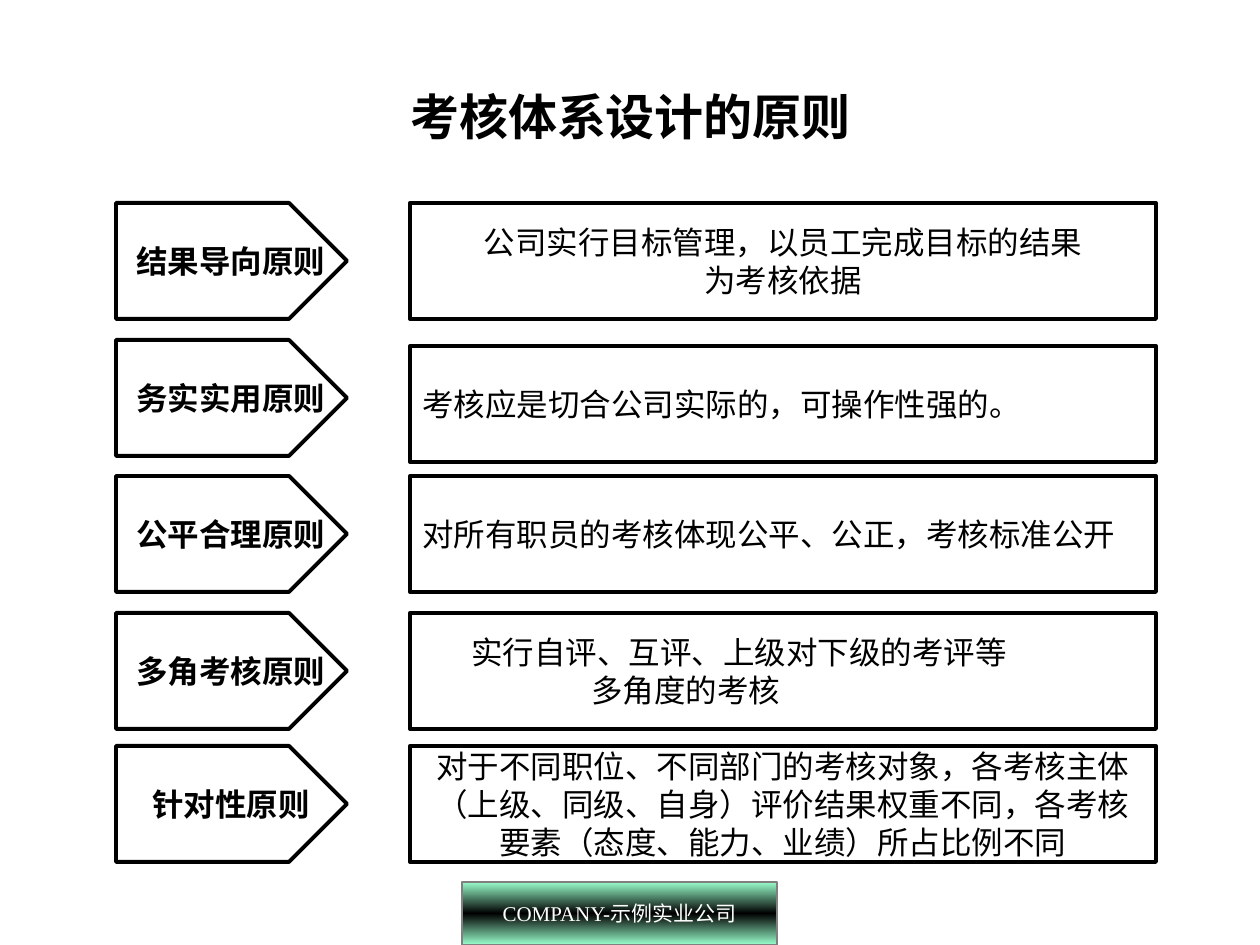
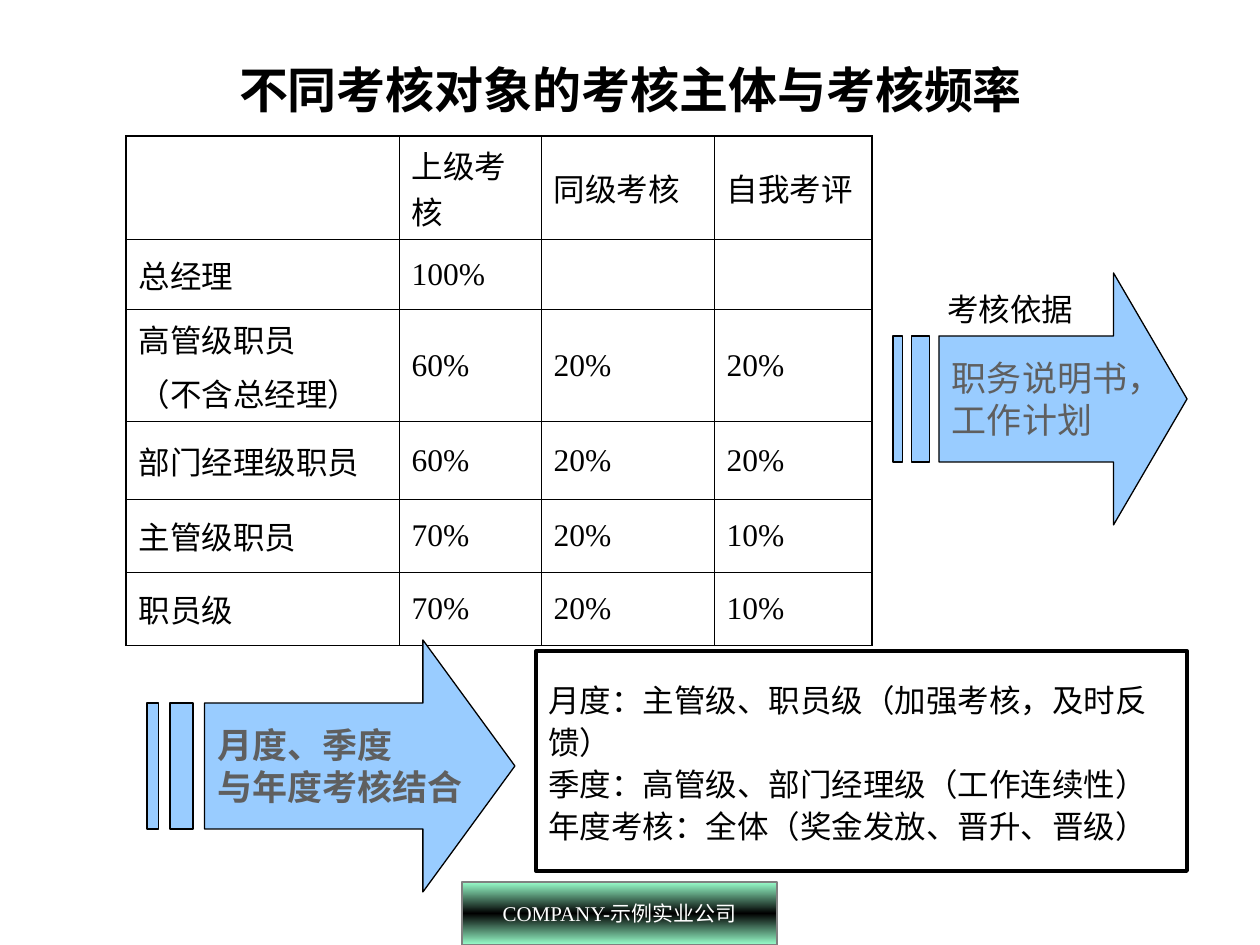
from copy import deepcopy
from lxml import etree
from pptx import Presentation
from pptx import util as u
from pptx.dml.color import RGBColor
from pptx.enum import shapes, text
from pptx.oxml import ns

BLACK = RGBColor(0, 0, 0)
WHITE = RGBColor(255, 255, 255)
GRAY = RGBColor(0x80, 0x80, 0x80)
DARK = RGBColor(0x5F, 0x5F, 0x5F)
MINT = RGBColor(0x99, 0xFF, 0xCC)
SKY = RGBColor(0x99, 0xCC, 0xFF)
LATIN, HAN = "Times New Roman", "Noto Sans CJK SC"
SCALE = 914400 / 126
LEFT, MID = text.PP_ALIGN.LEFT, text.PP_ALIGN.CENTER

FOOT = "COMPANY-示例实业公司"
TITLES = [("考核体系设计的原则", (95, 53, 1071, 126)),
          ("不同考核对象的考核主体与考核频率", (95, 10, 1071, 158))]
TAG_X, TAG_W, BOX_X, BOX_W, ROW_H = 116, 231, 410, 746, 116
RULES = [
    ("结果导向原则", 203, 203, MID,
     ["公司实行目标管理，以员工完成目标的结果", "为考核依据"]),
    ("务实实用原则", 340, 346, LEFT, ["考核应是切合公司实际的，可操作性强的。"]),
    ("公平合理原则", 476, 476, LEFT, ["对所有职员的考核体现公平、公正，考核标准公开"]),
    ("多角考核原则", 613, 613, LEFT,
     [("实行自评、互评、上级对下级的考评等", 49), ("多角度的考核", 169)]),
    ("针对性原则", 746, 746, MID,
     ["对于不同职位、不同部门的考核对象，各考核主体（上级、同级、自身）"
      "评价结果权重不同，各考核要素（态度、能力、业绩）所占比例不同"]),
]
COLS = [273, 142, 173, 158]
ROWS = [88, 70, 101, 78, 73, 73]
GRID = [
    ["", "上级考核", "同级考核", "自我考评"],
    ["总经理", "100%", "", ""],
    ["高管级职员\n（不含总经理）", "60%", "20%", "20%"],
    ["部门经理级职员", "60%", "20%", "20%"],
    ["主管级职员", "70%", "20%", "10%"],
    ["职员级", "70%", "20%", "10%"],
]
CYCLE = ["月度：主管级、职员级（加强考核，及时反馈）",
         "季度：高管级、部门经理级（工作连续性）",
         "年度考核：全体（奖金发放、晋升、晋级）"]
ARROWS = [((893, 273, 294, 252), ["职务说明书，", "工作计划"], False),
          ((147, 640, 368, 252), ["月度、季度", "与年度考核结合"], True)]
BASIS, BASIS_AT = "考核依据", (935, 284, 151, 50)


def px(n):
    return u.Emu(round(n * SCALE))


def area(at):
    return [px(n) for n in at]


def put(frame, lines, size=18, color=BLACK, bold=False, align=LEFT,
        pitch=None, gap=0, face=LATIN):
    for i, line in enumerate(lines):
        words, dent = line if isinstance(line, tuple) else (line, 0)
        para = frame.paragraphs[0] if i == 0 else frame.add_paragraph()
        para.alignment = align
        if dent:
            para._p.get_or_add_pPr().set("marL", str(px(dent)))
        if pitch:
            para.line_spacing = u.Pt(pitch)
        if gap and i:
            para.space_before = u.Pt(gap)
        run = para.add_run()
        run.text = words
        font = run.font
        font.size, font.bold, font.name = u.Pt(size), bold, face
        font.color.rgb = color
        east = etree.SubElement(run._r.get_or_add_rPr(), ns.qn("a:ea"))
        east.set("typeface", HAN)


def style(shape, fill=None, line=BLACK, width=2.25, wrap=True):
    shape.shadow.inherit = False
    if fill is None:
        shape.fill.background()
    else:
        shape.fill.solid()
        shape.fill.fore_color.rgb = fill
    shape.line.color.rgb = line
    shape.line.width = u.Pt(width)
    frame = shape.text_frame
    frame.word_wrap = wrap
    frame.vertical_anchor = text.MSO_ANCHOR.MIDDLE
    return frame


def add_box(slide, at, lines, **kw):
    box = slide.shapes.add_shape(shapes.MSO_SHAPE.RECTANGLE, *area(at))
    put(style(box), lines, **kw)


def add_tag(slide, at, label):
    tag = slide.shapes.add_shape(shapes.MSO_SHAPE.PENTAGON, *area(at))
    frame = style(tag, wrap=False)
    frame.margin_left, frame.margin_right = px(28), 0
    put(frame, [label], bold=True, align=MID, pitch=21.6)


def add_arrow(slide, at, lines, bold):
    x, y, w, h = at
    parts = [[(5, 1), (24, 1), (24, 0), (32, 2), (24, 4), (24, 3), (5, 3)]]
    parts += [[(a, 1), (b, 1), (b, 3), (a, 3)] for a, b in [(0, 1), (2, 4)]]
    paths = [[(px(x + w * a / 32), px(y + h * b / 4)) for a, b in part]
             for part in parts]
    pen = slide.shapes.build_freeform(*paths[0][0], scale=1.0)
    for i, path in enumerate(paths):
        if i:
            pen.move_to(*path[0])
        pen.add_line_segments(path[1:], close=True)
    frame = style(pen.convert_to_shape(), SKY, width=0.75)
    frame.margin_left, frame.margin_right = px(w * 5 / 32 + 13), 0
    put(frame, lines, 20, DARK, bold, pitch=24)


def add_foot(slide, master):
    foot = slide.shapes.add_shape(
        shapes.MSO_SHAPE.RECTANGLE, *area((462, 882, 315, 63)))
    frame = style(foot, line=GRAY, width=0.75, wrap=False)
    put(frame, [FOOT], 12, WHITE, align=MID)
    foot.fill.gradient()
    foot.fill.gradient_angle = 90
    stops = foot.element.spPr.find(".//" + ns.qn("a:gsLst"))
    stops.append(deepcopy(stops[0]))
    for stop, pos, color in zip(foot.fill.gradient_stops, (0, 0.5, 1),
                                (MINT, BLACK, MINT)):
        stop.position = pos
        stop.color.rgb = color
    master.element.cSld.spTree.append(foot.element)


def edge(cell, side, width):
    line = etree.SubElement(cell._tc.get_or_add_tcPr(), ns.qn("a:ln" + side))
    line.set("w", str(u.Pt(width)))
    fill = etree.SubElement(line, ns.qn("a:solidFill"))
    etree.SubElement(fill, ns.qn("a:srgbClr")).set("val", str(BLACK))


def add_grid(slide):
    at = area((126, 136, sum(COLS), sum(ROWS)))
    table = slide.shapes.add_table(len(ROWS), len(COLS), *at).table
    table.first_row = table.horz_banding = False
    for col, w in zip(table.columns, COLS):
        col.width = px(w)
    for row, h in zip(table.rows, ROWS):
        row.height = px(h)
    for r, line in enumerate(GRID):
        for c, words in enumerate(line):
            cell = table.cell(r, c)
            outer = {"L": c == 0, "R": c == len(COLS) - 1,
                     "T": r == 0, "B": r == len(ROWS) - 1}
            for side, out in outer.items():
                edge(cell, side, 1.08 if out else 0.45)
            cell.fill.background()
            cell.vertical_anchor = text.MSO_ANCHOR.MIDDLE
            if words:
                put(cell.text_frame, words.split("\n"), gap=4.5)


def add_page(deck, words, at):
    slide = deck.slides.add_slide(deck.slide_layouts[5])
    title = slide.shapes.title
    title.left, title.top, title.width, title.height = area(at)
    frame = title.text_frame
    frame.auto_size = text.MSO_AUTO_SIZE.NONE
    frame.vertical_anchor = text.MSO_ANCHOR.MIDDLE
    put(frame, [words], 28, bold=True, align=MID, face=HAN)
    return slide


def main():
    deck = Presentation()
    deck.slide_width, deck.slide_height = px(1260), px(945)
    first, second = [add_page(deck, *head) for head in TITLES]
    add_foot(first, deck.slide_master)

    for label, y, _, _, _ in RULES:
        add_tag(first, (TAG_X, y, TAG_W, ROW_H), label)
    for _, _, y, align, lines in RULES:
        add_box(first, (BOX_X, y, BOX_W, ROW_H), lines,
                align=align, pitch=21.6)

    add_grid(second)
    add_box(second, (536, 651, 651, 220), CYCLE, pitch=24)
    for arrow in ARROWS:
        add_arrow(second, *arrow)
    basis = second.shapes.add_textbox(*area(BASIS_AT)).text_frame
    basis.word_wrap = False
    put(basis, [BASIS], align=MID, pitch=21.6)
    deck.save("out.pptx")


if __name__ == "__main__":
    main()
